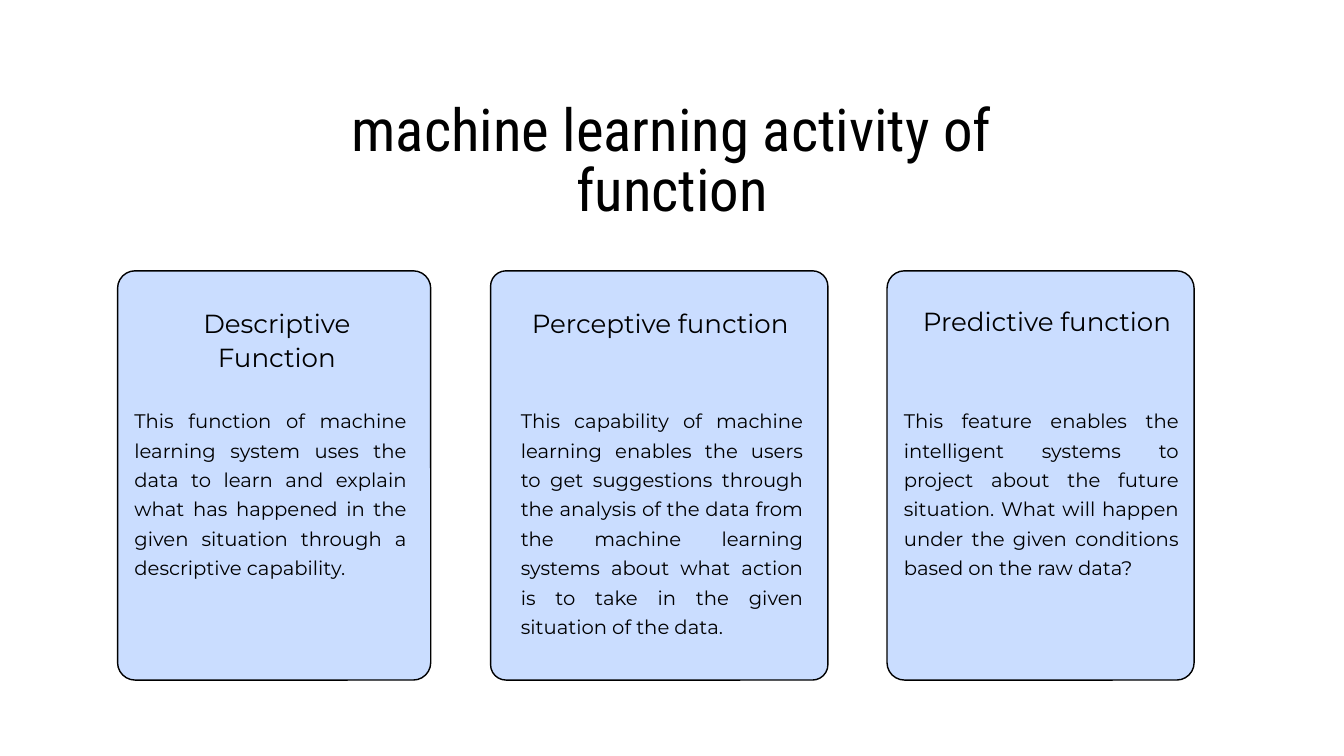
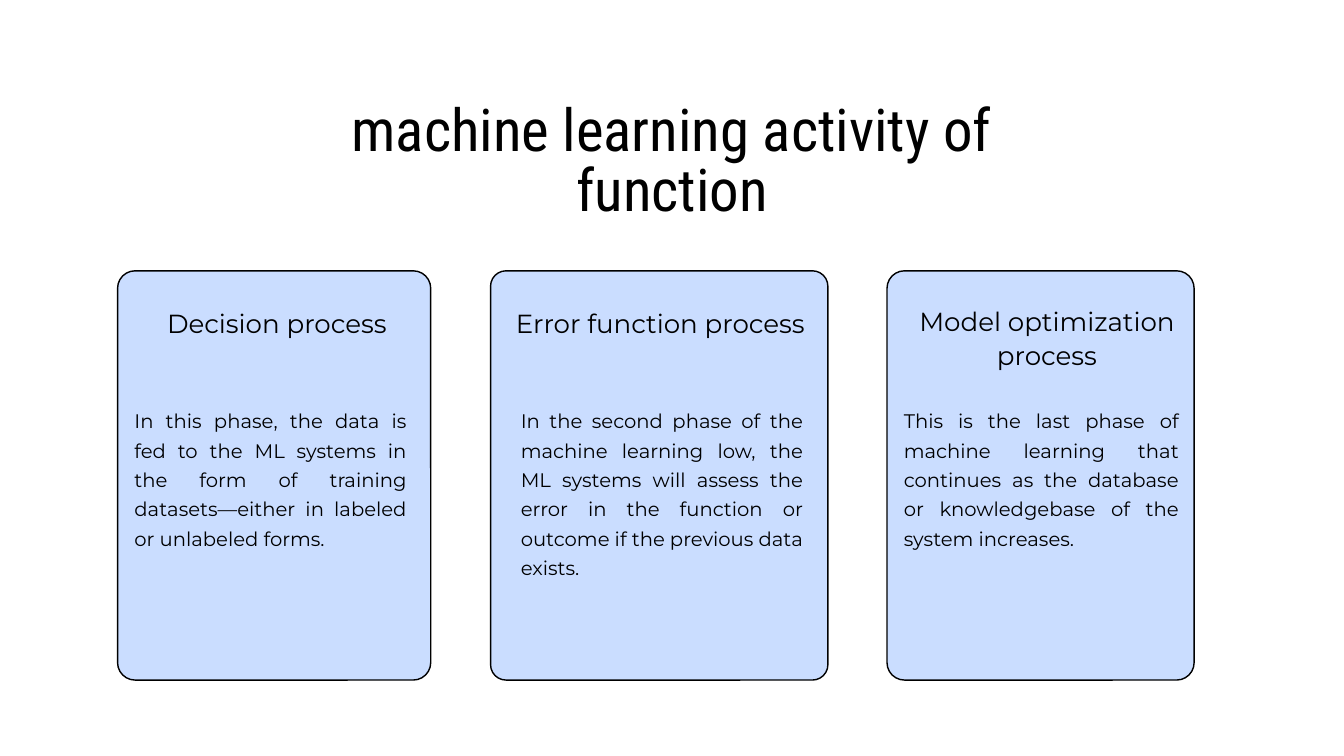
from dataclasses import dataclass

import pptx
import pptx.dml.color
import pptx.enum.shapes
import pptx.enum.text
import pptx.util
from pptx.util import Inches

ALIGN = pptx.enum.text.PP_ALIGN


@dataclass(frozen=True)
class Theme:
    ink: str = "000000"
    card_fill: str = "CADDFF"
    title_font: str = "Roboto Condensed"
    text_font: str = "Montserrat"
    title_size: float = 63.1
    title_spacing: float = 63.8
    heading_size: float = 28
    heading_spacing: float = 36.4
    body_size: float = 21
    body_spacing: float = 31.5
    outline: float = 1.5


@dataclass(frozen=True)
class Column:
    """Left edges and widths, in inches, of one card and its two texts."""
    card: tuple
    heading: tuple
    body: tuple
    heading_top: float
    radius: float


THEME = Theme()
TITLE = "machine learning activity of function"
CARD_TOP, CARD_HEIGHT, BODY_TOP = 4.03, 6.09, 6

COLUMNS = [
    Column((1.75, 4.66), (2.19, 3.86), (2, 4.05), 4.53, 0.26),
    Column((7.3, 5.02), (6.41, 6.83), (7.75, 4.2), 4.53, 0.23),
    Column((13.2, 4.57), (13.61, 3.94), (13.45, 4.09), 4.51, 0.26),
]

# Each card: heading, its line count, body text, its line count
SLIDES = [
    [
        ("Descriptive Function", 2,
         "This function of machine learning system uses the data to learn and explain "
         "what has happened in the given situation through a descriptive capability.", 6),
        ("Perceptive function", 1,
         "This capability of machine learning enables the users to get suggestions "
         "through the analysis of the data from the machine learning systems about "
         "what action is to take in the given situation of the data.", 8),
        ("Predictive function", 1,
         "This feature enables the intelligent systems to project about the future "
         "situation. What will happen under the given conditions based on the raw data?", 6),
    ],
    [
        ("Decision process", 1,
         "In this phase, the data is fed to the ML systems in the form of training "
         "datasets—either in labeled or unlabeled forms.", 5),
        ("Error function process", 1,
         "In the second phase of the machine learning low, the ML systems will assess "
         "the error in the function or outcome if the previous data exists.", 6),
        ("Model optimization process", 2,
         "This is the last phase of machine learning that continues as the database "
         "or knowledgebase of the system increases.", 5),
    ],
]


def rgb(value):
    return pptx.dml.color.RGBColor.from_string(value)


def write_text(shape, text, *, font, size, spacing, align):
    frame = shape.text_frame
    frame.word_wrap = True
    frame.auto_size = pptx.enum.text.MSO_AUTO_SIZE.SHAPE_TO_FIT_TEXT
    frame.vertical_anchor = pptx.enum.text.MSO_ANCHOR.TOP
    frame.margin_left = frame.margin_right = frame.margin_top = frame.margin_bottom = 0
    paragraph = frame.paragraphs[0]
    paragraph.alignment = align
    paragraph.line_spacing = pptx.util.Pt(spacing)
    paragraph.space_before = pptx.util.Pt(0)
    run = paragraph.add_run()
    run.text = text
    run.font.name = font
    run.font.size = pptx.util.Pt(size)
    run.font.color.rgb = rgb(THEME.ink)


def add_title(slide):
    title = slide.shapes.title
    title.left, title.top = Inches(5.09), Inches(1.55)
    title.width, title.height = Inches(9.82), Inches(1.84)
    write_text(title, TITLE, font=THEME.title_font, size=THEME.title_size,
               spacing=THEME.title_spacing, align=ALIGN.CENTER)


def add_card(slide, column):
    left, width = column.card
    card = slide.shapes.add_shape(
        pptx.enum.shapes.MSO_SHAPE.ROUNDED_RECTANGLE,
        Inches(left), Inches(CARD_TOP), Inches(width), Inches(CARD_HEIGHT))
    card.adjustments[0] = column.radius / min(width, CARD_HEIGHT)
    card.shadow.inherit = False
    card.fill.solid()
    card.fill.fore_color.rgb = rgb(THEME.card_fill)
    card.line.color.rgb = rgb(THEME.ink)
    card.line.width = pptx.util.Pt(THEME.outline)


def add_text(slide, text, span, top, lines, *, size, spacing, align):
    left, width = span
    box = slide.shapes.add_textbox(Inches(left), Inches(top), Inches(width),
                                   pptx.util.Pt(lines * spacing))
    write_text(box, text, font=THEME.text_font, size=size, spacing=spacing, align=align)


def add_card_slide(presentation, cards):
    slide = presentation.slides.add_slide(presentation.slide_layouts.get_by_name("Title Only"))
    add_title(slide)
    for column, (heading, heading_lines, body, body_lines) in zip(COLUMNS, cards):
        add_card(slide, column)
        add_text(slide, heading, column.heading, column.heading_top, heading_lines,
                 size=THEME.heading_size, spacing=THEME.heading_spacing, align=ALIGN.CENTER)
        add_text(slide, body, column.body, BODY_TOP, body_lines,
                 size=THEME.body_size, spacing=THEME.body_spacing, align=ALIGN.JUSTIFY)


def main():
    presentation = pptx.Presentation()
    presentation.slide_width, presentation.slide_height = Inches(20), Inches(11.25)
    for cards in SLIDES:
        add_card_slide(presentation, cards)
    presentation.save("out.pptx")


if __name__ == "__main__":
    main()
